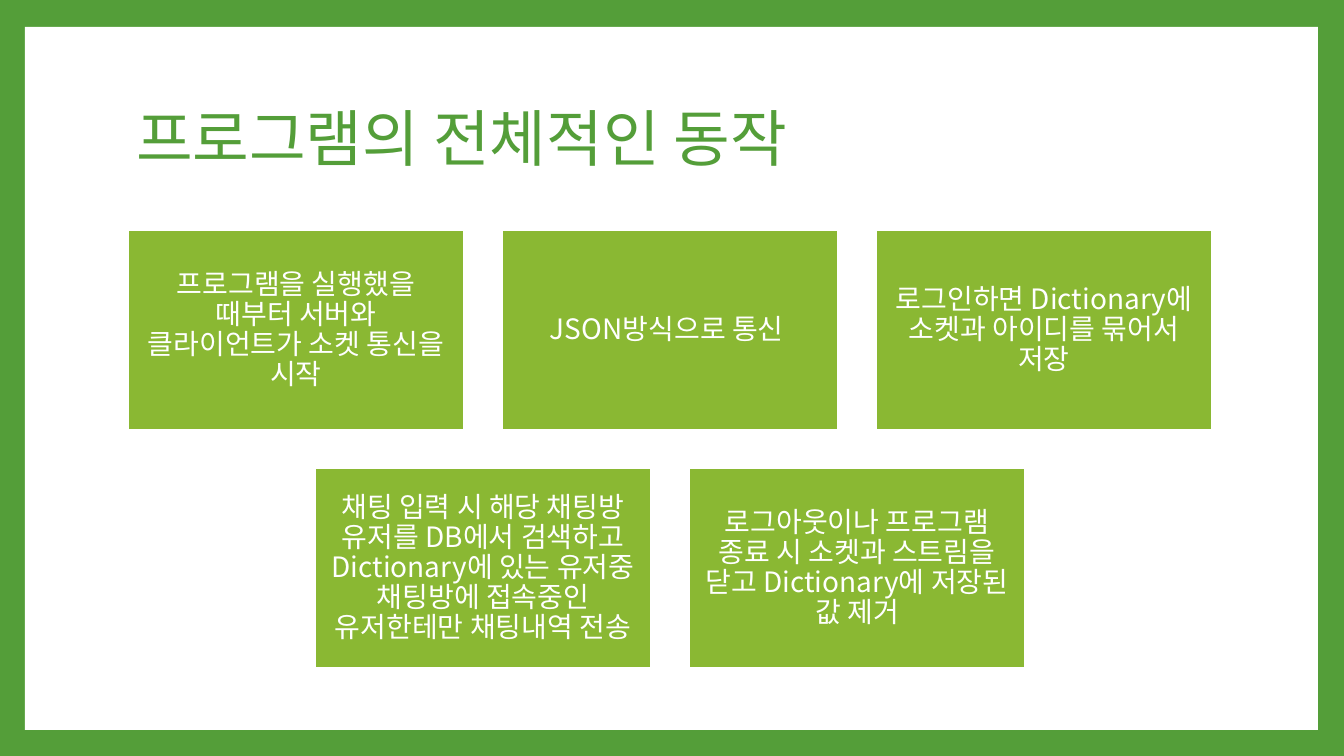
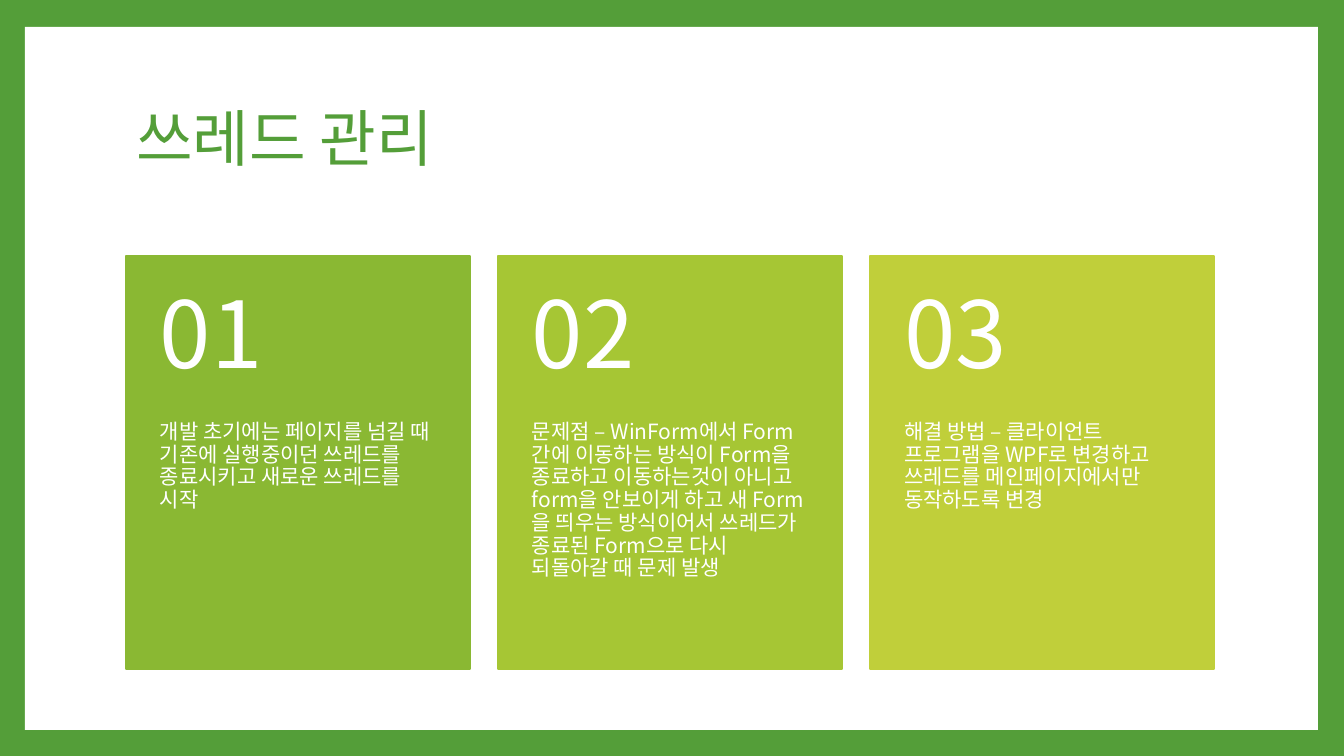
from lxml import etree
from pptx import Presentation
from pptx import util as u
from pptx.dml.color import RGBColor
from pptx.enum import shapes, text
from pptx.oxml.ns import qn

PX = 9071.43  # EMU in one pixel at 100.8 pixels to the inch
FONT = "Noto Sans CJK KR"
GREEN, WHITE = "549E39", "FFFFFF"
LIME, LEAF, YELLOW = "8AB833", "A6C634", "C0CF3A"
LEFT, ALIGN = 126, text.PP_ALIGN

deck = Presentation()
deck.slide_width, deck.slide_height = u.Inches(13.333), u.Inches(7.5)
deck.slide_master.background.fill.solid()
deck.slide_master.background.fill.fore_color.rgb = RGBColor.from_string(GREEN)


def add_panel(slide, box, fill, line=None, line_width=0):
    panel = slide.shapes.add_shape(
        shapes.MSO_SHAPE.RECTANGLE, *[round(n * PX) for n in box])
    panel.shadow.inherit = False
    panel.fill.solid()
    panel.fill.fore_color.rgb = RGBColor.from_string(fill)
    if line:
        panel.line.color.rgb = RGBColor.from_string(line)
        panel.line.width = u.Pt(line_width)
    else:
        panel.line.fill.background()
    return panel


def write(holder, words, size, color, insets, spacing=0.9,
          anchor=text.MSO_ANCHOR.MIDDLE, align=ALIGN.LEFT):
    frame = holder.text_frame
    frame.word_wrap = True
    frame.vertical_anchor = anchor
    (frame.margin_left, frame.margin_top,
     frame.margin_right, frame.margin_bottom) = [round(n * PX) for n in insets]
    paragraph = frame.paragraphs[0]
    paragraph.alignment = align
    paragraph.line_spacing = spacing
    run = paragraph.add_run()
    run.text = words
    run.font.size = u.Pt(size)
    run.font.name = FONT
    run.font.color.rgb = RGBColor.from_string(color)
    etree.SubElement(run._r.get_or_add_rPr(), qn("a:ea"), typeface=FONT)


# Both slides: white sheet in the green frame, and the title
slides = []
for title in ["프로그램의 전체적인 동작", "쓰레드 관리"]:
    slide = deck.slides.add_slide(deck.slide_layouts[6])
    add_panel(slide, (25, 27, 1293, 703), WHITE)
    heading = slide.shapes.add_textbox(
        *[round(n * PX) for n in (LEFT, 67, 1089, 149)])
    write(heading, title, 44, GREEN, (10, 5, 10, 5))
    slides.append(slide)
flow, threads = slides

# Slide 1: steps in two centred rows
STEP_W, STEP_H, STEP_GAP, CENTER = 340, 204, 34, 670
step_rows = [
    ["프로그램을 실행했을 때부터 서버와 클라이언트가 소켓 통신을 시작",
     "JSON방식으로 통신 ",
     "로그인하면 Dictionary에 소켓과 아이디를 묶어서 저장"],
    ["채팅 입력 시 해당 채팅방 유저를 DB에서 검색하고 Dictionary에 있는 "
     "유저중 채팅방에 접속중인 유저한테만 채팅내역 전송",
     "로그아웃이나 프로그램 종료 시 소켓과 스트림을 닫고 Dictionary에 "
     "저장된 값 제거"],
]
for row, steps in enumerate(step_rows):
    row_width = len(steps) * (STEP_W + STEP_GAP) - STEP_GAP
    for column, step in enumerate(steps):
        x = CENTER - row_width / 2 + column * (STEP_W + STEP_GAP)
        y = 228 + row * (STEP_H + STEP_GAP)
        panel = add_panel(flow, (x, y, STEP_W, STEP_H), LIME, WHITE, 4.25)
        write(panel, step, 20, WHITE, (10, 8, 10, 8), u.Pt(21.4),
              align=ALIGN.CENTER)

# Slide 2: numbered cards
CARD_W, CARD_PITCH, CARD_TOP, NUMBER_H, BODY_H = 344, 372, 256, 165, 248
cards = [
    (LIME, "개발 초기에는 페이지를 넘길 때 기존에 실행중이던 쓰레드를 "
           "종료시키고 새로운 쓰레드를 시작"),
    (LEAF, "문제점 – WinForm에서 Form간에 이동하는 방식이 Form을 종료하고 "
           "이동하는것이 아니고 form을 안보이게 하고 새 Form을 띄우는 "
           "방식이어서 쓰레드가 종료된 Form으로 다시 되돌아갈 때 문제 발생"),
    (YELLOW, "해결 방법 – 클라이언트 프로그램을 WPF로 변경하고 쓰레드를 "
             "메인페이지에서만 동작하도록 변경"),
]
for index, (color, story) in enumerate(cards):
    x = LEFT + index * CARD_PITCH
    add_panel(threads, (x, CARD_TOP, CARD_W, NUMBER_H + BODY_H),
              color, color, 1.5)
    body = threads.shapes.add_textbox(
        *[round(n * PX) for n in (x, CARD_TOP + NUMBER_H, CARD_W, BODY_H)])
    write(body, story, 15, WHITE, (34, 0, 34, 36), u.Pt(16.2),
          text.MSO_ANCHOR.TOP)
    number = threads.shapes.add_textbox(
        *[round(n * PX) for n in (x, CARD_TOP, CARD_W, NUMBER_H)])
    write(number, f"{index + 1:02}", 66, WHITE, (34, 18, 34, 18))

deck.save("out.pptx")
